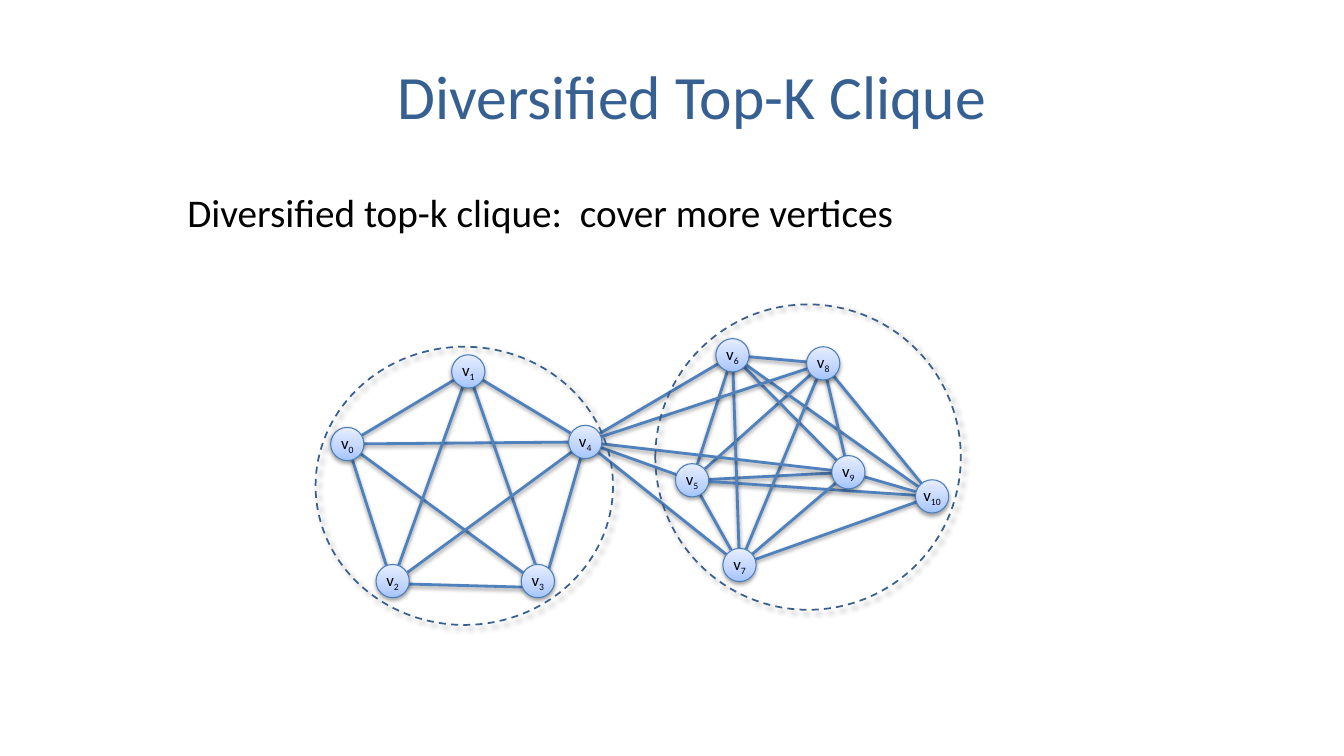
"""Build the slide on diversified top-k cliques: two cliques and the edges between them."""
from itertools import combinations

from pptx import Presentation
from pptx.dml.color import RGBColor
from pptx.enum.dml import MSO_LINE
from pptx.enum.shapes import MSO_CONNECTOR, MSO_SHAPE
from pptx.enum.text import MSO_ANCHOR, MSO_AUTO_SIZE, PP_ALIGN
from pptx.oxml import parse_xml
from pptx.util import Inches, Pt

STRAIGHT = MSO_CONNECTOR.STRAIGHT
OVAL, NODE = MSO_SHAPE.OVAL, MSO_SHAPE.FLOWCHART_CONNECTOR
DASH = MSO_LINE.DASH
MIDDLE, TOP = MSO_ANCHOR.MIDDLE, MSO_ANCHOR.TOP
LEFT, CENTER = PP_ALIGN.LEFT, PP_ALIGN.CENTER
NO_FIT = MSO_AUTO_SIZE.NONE
NS = 'xmlns:a="http://schemas.openxmlformats.org/drawingml/2006/main"'

NODE_SIZE = 0.33
NODE_CORNERS = {
    0: (3.28, 4.24), 1: (4.48, 3.52), 2: (3.73, 5.6), 3: (5.17, 5.6),
    4: (5.64, 4.22), 5: (6.7, 4.6), 6: (7.1, 3.36), 7: (7.17, 5.44),
    8: (8, 3.44), 9: (8.25, 4.52), 10: (9.08, 4.76),
}
LEFT_CLIQUE, RIGHT_CLIQUE = range(0, 5), range(5, 11)
BRIDGES = [(4, vertex) for vertex in range(5, 10)]
CLIQUE_RINGS = [(3.13, 3.44, 2.95, 2.76, "376092"), (6.5, 3.02, 3.03, 3.03, "3A5F8C")]


def add_run(paragraph, text, size, color):
    run = paragraph.add_run()
    run.text = text
    run.font.name = "Calibri"
    run.font.size = Pt(size)
    run.font.color.rgb = RGBColor.from_string(color)
    return run


def style_outline(part, color, width, blur, distance, angle, alpha):
    part.line.color.rgb = RGBColor.from_string(color)
    part.line.width = Pt(width)
    part._element.spPr.append(parse_xml(
        f'<a:effectLst {NS}><a:outerShdw blurRad="{Pt(blur)}" dist="{Pt(distance)}" '
        f'dir="{angle * 60000}" rotWithShape="0"><a:srgbClr val="000000">'
        f'<a:alpha val="{alpha * 1000}"/></a:srgbClr></a:outerShdw></a:effectLst>'))


prs = Presentation()
prs.slide_width, prs.slide_height = Inches(13.33), Inches(7.5)
slide = prs.slides.add_slide(prs.slide_layouts[5])
shapes = slide.shapes

title = shapes.title
title.left, title.top = Inches(2.18), Inches(0.51)
title.width, title.height = Inches(10), Inches(0.87)
heading = title.text_frame
heading.auto_size = NO_FIT
heading.vertical_anchor = MIDDLE
heading.margin_left = Inches(1.76)
heading.paragraphs[0].alignment = LEFT
add_run(heading.paragraphs[0], "Diversified Top-K Clique", 44, "376092")

edge_ends = {vertex: (x + NODE_SIZE / 2, y + NODE_SIZE / 2)
             for vertex, (x, y) in NODE_CORNERS.items()}
edge_ends[2], edge_ends[3] = (3.89, 5.79), (5.39, 5.83)
edges = [*combinations(LEFT_CLIQUE, 2), *combinations(RIGHT_CLIQUE, 2), *BRIDGES]
for start, end in edges:
    points = [Inches(value) for value in edge_ends[start] + edge_ends[end]]
    edge = shapes.add_connector(STRAIGHT, *points)
    style_outline(edge, "4F81BD", 2, 3.1, 1.6, 90, 38)

for vertex, (x, y) in NODE_CORNERS.items():
    node = shapes.add_shape(NODE, Inches(x), Inches(y), Inches(NODE_SIZE), Inches(NODE_SIZE))
    stops = "".join(f'<a:gs pos="{pos * 1000}"><a:srgbClr val="{color}"/></a:gs>'
                    for pos, color in [(0, "A4C4FF"), (35, "BFD4FF"), (100, "E6EEFF")])
    node._element.spPr.append(parse_xml(
        f'<a:gradFill {NS} rotWithShape="1"><a:gsLst>{stops}</a:gsLst>'
        '<a:lin ang="16200000" scaled="0"/></a:gradFill>'))
    style_outline(node, "4B7EBC", 0.75, 3.1, 1.6, 90, 38)
    label = node.text_frame
    label.margin_left = label.margin_right = label.margin_top = label.margin_bottom = 0
    label.word_wrap = False
    label.vertical_anchor = MIDDLE
    label.paragraphs[0].alignment = CENTER
    add_run(label.paragraphs[0], "v", 12, "000000")
    index = add_run(label.paragraphs[0], str(vertex), 12, "000000")
    index._r.get_or_add_rPr().set("baseline", "-25000")

for x, y, width, height, color in CLIQUE_RINGS:
    ring = shapes.add_shape(OVAL, Inches(x), Inches(y), Inches(width), Inches(height))
    ring.fill.background()
    style_outline(ring, color, 1.25, 4, 3, 45, 40)
    ring.line.dash_style = DASH

statement = shapes.add_textbox(Inches(1.76), Inches(1.82), Inches(9), Inches(0.75)).text_frame
statement.word_wrap = True
statement.vertical_anchor = TOP
add_run(statement.paragraphs[0], "Diversified top-k clique:  cover more vertices", 28, "000000")

prs.save("out.pptx")
